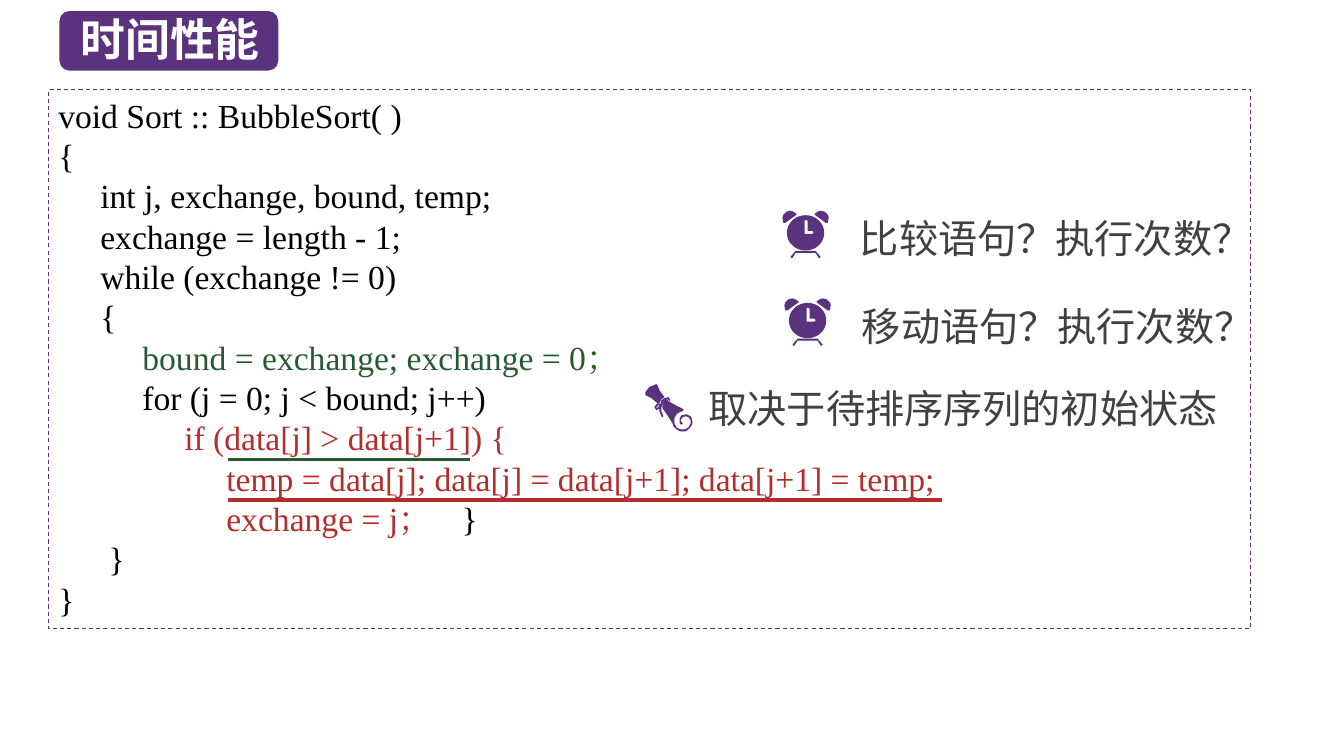
from math import cos, pi, sin

from lxml.etree import SubElement
from pptx import Presentation
from pptx.dml.color import RGBColor
from pptx.enum.dml import MSO_LINE
from pptx.enum.shapes import MSO_CONNECTOR, MSO_SHAPE
from pptx.enum.text import MSO_ANCHOR, PP_ALIGN
from pptx.oxml.ns import qn
from pptx.util import Inches, Pt

PURPLE = RGBColor(0x5A, 0x32, 0x7D)
BORDER = RGBColor(0x5C, 0x30, 0x7D)
GREEN = RGBColor(0x28, 0x5A, 0x32)
RED = RGBColor(0xB4, 0x2D, 0x2D)
GRAY = RGBColor(0x40, 0x40, 0x40)
BLACK = RGBColor(0, 0, 0)
WHITE = RGBColor(0xFF, 0xFF, 0xFF)
CJK = "Noto Sans CJK SC"
CODE = "Times New Roman"


def add_text(p, text, size=28, font=CJK, color=GRAY, bold=False):
    r = p.add_run()
    r.text = text
    r.font.size = Pt(size)
    r.font.bold = bold
    r.font.color.rgb = color
    r.font.name = font
    SubElement(r.font._element, qn("a:ea"), typeface=font)


def add_outline(contours, x=0, y=0):
    contours = [[(Inches(x + px), Inches(y + py)) for px, py in c] for c in contours]
    builder = s.shapes.build_freeform(*contours[0][0], scale=1.0)
    builder.add_line_segments(contours[0][1:])
    for c in contours[1:]:
        builder.move_to(*c[0])
        builder.add_line_segments(c[1:])
    sp = builder.convert_to_shape()
    sp.shadow.inherit = False
    sp.fill.solid()
    sp.fill.fore_color.rgb = PURPLE
    sp.line.fill.background()


prs = Presentation()
prs.slide_width, prs.slide_height = Inches(13.33), Inches(7.5)
s = prs.slides.add_slide(prs.slide_layouts[6])

badge = s.shapes.add_shape(MSO_SHAPE.ROUNDED_RECTANGLE, Inches(0.59), Inches(0.11), Inches(2.17), Inches(0.59))
badge.shadow.inherit = False
badge.fill.solid()
badge.fill.fore_color.rgb = PURPLE
badge.line.fill.background()

labels = [
    ("时间性能", 0.7, 0.07, 2.1, 0.64, 1.0, dict(size=32, color=WHITE, bold=True)),
    ("比较语句？执行次数？", 8.43, 1.94, 4.25, 0.71, 1.3, {}),
    ("移动语句？执行次数？", 8.45, 2.81, 4.25, 0.71, 1.3, {}),
    ("取决于待排序序列的初始状态", 6.93, 3.62, 5.54, 0.71, 1.3, {}),
]
for text, x, y, w, h, spacing, fmt in labels:
    tf = s.shapes.add_textbox(Inches(x), Inches(y), Inches(w), Inches(h)).text_frame
    tf.word_wrap = True
    p = tf.paragraphs[0]
    p.line_spacing = spacing
    add_text(p, text, **fmt)

face = [(0.185 * cos(a * pi / 24), 0.175 * sin(a * pi / 24)) for a in range(49)]
hands = [(-0.01, -0.12), (-0.01, 0.01), (0.07, 0.01), (0.08, 0), (0.07, -0.02),
         (0.02, -0.02), (0.02, -0.12), (0, -0.13)]
left_bell = [(-0.15, -0.22), (-0.19, -0.21), (-0.22, -0.18), (-0.23, -0.15), (-0.22, -0.1),
             (-0.2, -0.1), (-0.09, -0.18), (-0.09, -0.19), (-0.12, -0.21)]
right_bell = [(-x, y) for x, y in left_bell]
left_leg = [(-0.1, 0.18), (-0.15, 0.24), (-0.14, 0.25), (-0.13, 0.25), (-0.1, 0.2)]
legs = left_leg + [(-x, y) for x, y in reversed(left_leg)]
for x, y in [(7.99, 2.31), (8.01, 3.18)]:
    for contours in [[legs], [left_bell], [right_bell], [face, hands]]:
        add_outline(contours, x, y)

scroll_top = [(6.54, 4), (6.56, 3.96), (6.59, 3.94), (6.54, 3.87), (6.52, 3.82), (6.51, 3.81),
              (6.44, 3.84), (6.4, 3.89), (6.4, 3.92), (6.46, 3.95), (6.52, 4)]
scroll_roll = [(6.85, 4.13), (6.81, 4.11), (6.76, 4.12), (6.74, 4.15), (6.74, 4.19), (6.75, 4.21),
               (6.77, 4.21), (6.77, 4.2), (6.75, 4.17), (6.77, 4.14), (6.8, 4.13), (6.83, 4.14),
               (6.85, 4.17), (6.85, 4.2), (6.83, 4.24), (6.79, 4.26), (6.75, 4.26), (6.71, 4.24),
               (6.69, 4.2), (6.69, 4.15), (6.71, 4.11), (6.74, 4.09), (6.77, 4.08), (6.78, 4.06),
               (6.7, 4.02), (6.63, 3.98), (6.61, 3.96), (6.59, 3.97), (6.57, 4.01), (6.57, 4.05),
               (6.62, 4.12), (6.67, 4.2), (6.68, 4.23), (6.71, 4.26), (6.75, 4.28), (6.8, 4.28),
               (6.84, 4.25), (6.86, 4.22), (6.87, 4.19), (6.86, 4.15)]
ribbon = [(6.57, 4.14), (6.56, 4.13), (6.54, 4.08), (6.54, 4.06), (6.53, 4.06), (6.51, 4.07),
          (6.49, 4.04), (6.51, 4.01), (6.53, 4), (6.55, 4.01), (6.56, 3.97), (6.59, 3.95),
          (6.63, 3.94), (6.65, 3.97), (6.64, 3.98), (6.63, 3.97), (6.62, 3.96), (6.59, 3.97),
          (6.57, 4.01), (6.56, 4.04), (6.56, 4.08), (6.58, 4.13)]
ribbon_loop = [(6.53, 4.02), (6.51, 4.04), (6.51, 4.05), (6.53, 4.04), (6.54, 4.02)]
for contours in [[scroll_top], [scroll_roll], [ribbon, ribbon_loop]]:
    add_outline(contours)

for x_end, y, color in [(4.66, 4.56, GREEN), (9.34, 4.96, RED)]:
    underline = s.shapes.add_connector(MSO_CONNECTOR.STRAIGHT, Inches(2.26), Inches(y), Inches(x_end), Inches(y))
    underline.line.color.rgb = color
    underline.line.width = Pt(2.25)
    SubElement(underline._element.spPr, qn("a:effectLst"))

box = s.shapes.add_shape(MSO_SHAPE.RECTANGLE, Inches(0.48), Inches(0.89), Inches(11.92), Inches(5.35))
box.shadow.inherit = False
box.fill.background()
box.line.color.rgb = BORDER
box.line.width = Pt(0.75)
box.line.dash_style = MSO_LINE.DASH
tf = box.text_frame
tf.word_wrap = True
tf.vertical_anchor = MSO_ANCHOR.TOP

code_lines = [
    (0, [("void Sort :: BubbleSort( )", BLACK)]),
    (0, [("{", BLACK)]),
    (1, [("int j, exchange, bound, temp;", BLACK)]),
    (1, [("exchange = length - 1;", BLACK)]),
    (1, [("while (exchange != 0)", BLACK)]),
    (1, [("{", BLACK)]),
    (2, [("bound = exchange; exchange = 0；", GREEN)]),
    (2, [("for (j = 0; j < bound; j++)", BLACK)]),
    (3, [("if (data[j] > data[j+1]) {", RED)]),
    (4, [("temp = data[j]; data[j] = data[j+1]; data[j+1] = temp;", RED)]),
    (4, [("exchange = j；", RED), ("\t}", BLACK)]),
    (1.2, [("}", BLACK)]),
    (0, [("}", BLACK)]),
]
for i, (depth, runs) in enumerate(code_lines):
    p = tf.paragraphs[0] if i == 0 else tf.add_paragraph()
    p.alignment = PP_ALIGN.LEFT
    pPr = p._p.get_or_add_pPr()
    pPr.set("marL", "0")
    pPr.set("indent", str(Pt(30 * depth)))
    if len(runs) > 1:
        tabs = SubElement(pPr, qn("a:tabLst"))
        SubElement(tabs, qn("a:tab"), pos=str(Inches(5)), algn="l")
    for text, color in runs:
        add_text(p, text, size=24, font=CODE, color=color)

prs.save("out.pptx")
